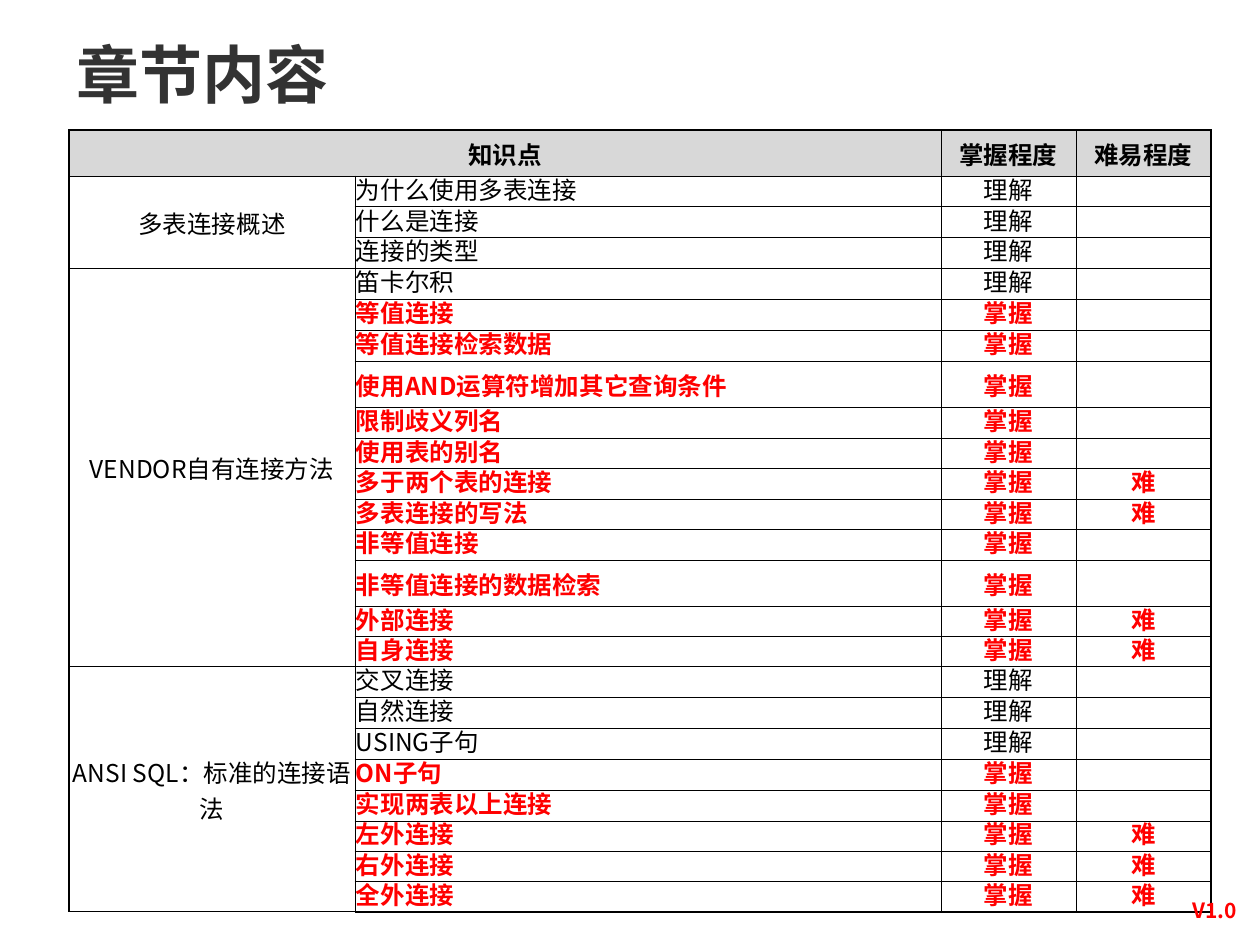
from typing import NamedTuple, Optional

from lxml.etree import SubElement
from pptx import Presentation
from pptx.dml.color import RGBColor
from pptx.enum.text import MSO_ANCHOR, PP_ALIGN
from pptx.oxml.ns import qn
from pptx.util import Pt

PX = 914400 // 126
FONT = "Noto Sans CJK SC"
BLACK = RGBColor(0, 0, 0)
DARK = RGBColor(0x33, 0x33, 0x33)
RED = RGBColor(0xFF, 0, 0)
GREY = RGBColor(0xD8, 0xD8, 0xD8)
WHITE = RGBColor(0xFF, 0xFF, 0xFF)

HIGH, TALL = 774, 46
WIDTHS = (286, 586, 135, 135)
HEADS = {0: "知识点", 2: "掌握程度", 3: "难易程度"}


class Point(NamedTuple):
    name: str
    key: bool = False
    hard: bool = False
    tall: bool = False


class Group(NamedTuple):
    name: str
    points: list[Point]
    fill: Optional[RGBColor] = WHITE


GROUPS = [
    Group("多表连接概述", [
        Point("为什么使用多表连接"),
        Point("什么是连接"),
        Point("连接的类型"),
    ], None),
    Group("VENDOR自有连接方法", [
        Point("笛卡尔积"),
        Point("等值连接", key=True),
        Point("等值连接检索数据", key=True),
        Point("使用AND运算符增加其它查询条件", key=True, tall=True),
        Point("限制歧义列名", key=True),
        Point("使用表的别名", key=True),
        Point("多于两个表的连接", key=True, hard=True),
        Point("多表连接的写法", key=True, hard=True),
        Point("非等值连接", key=True),
        Point("非等值连接的数据检索", key=True, tall=True),
        Point("外部连接", key=True, hard=True),
        Point("自身连接", key=True, hard=True),
    ]),
    Group("ANSI SQL：标准的连接语法", [
        Point("交叉连接"),
        Point("自然连接"),
        Point("USING子句"),
        Point("ON子句", key=True),
        Point("实现两表以上连接", key=True),
        Point("左外连接", key=True, hard=True),
        Point("右外连接", key=True, hard=True),
        Point("全外连接", key=True, hard=True),
    ]),
]


def write(frame, text: str, *, size: float = 14, color: RGBColor = BLACK,
          bold: bool = False, align=PP_ALIGN.CENTER, pitch: Optional[float] = None) -> None:
    para = frame.paragraphs[0]
    para.alignment = align
    if pitch:
        para.line_spacing = Pt(pitch)
    if not text:
        SubElement(para._p, qn("a:endParaRPr"), sz=str(int(size * 100)))
        return
    run = para.add_run()
    run.text = text
    font = run.font
    font.name, font.size, font.bold = FONT, Pt(size), bold
    font.color.rgb = color
    SubElement(run._r.get_or_add_rPr(), qn("a:ea"), typeface=FONT)


def place(shape, left: int, top: int, width: int, height: int) -> None:
    shape.left, shape.top = left * PX, top * PX
    shape.width, shape.height = width * PX, height * PX


def edge(cell, side: str, width: float) -> None:
    line = SubElement(cell._tc.get_or_add_tcPr(), qn("a:ln" + side),
                      w=str(Pt(width)), cmpd="sng")
    fill = SubElement(line, qn("a:solidFill"))
    SubElement(fill, qn("a:srgbClr"), val=str(BLACK))
    SubElement(line, qn("a:prstDash"), val="solid")


def dress(cell, row: int, col: int, last: int, fill: Optional[RGBColor]) -> None:
    cell.margin_left = cell.margin_right = cell.margin_top = PX
    cell.margin_bottom = 0
    cell.vertical_anchor = MSO_ANCHOR.MIDDLE
    outer = {"L": col == 0, "R": col == 3, "T": row == 0, "B": row == last}
    for side, out in outer.items():
        edge(cell, side, 1 if out else 0.5)
    if fill is None:
        cell.fill.background()
    else:
        cell.fill.solid()
        cell.fill.fore_color.rgb = fill


def draw_table(slide) -> None:
    points = [point for group in GROUPS for point in group.points]
    last = len(points)
    tall = [True] + [point.tall for point in points]
    thin = (HIGH - TALL * sum(tall)) * PX // tall.count(False)
    shape = slide.shapes.add_table(last + 1, 4, 69 * PX, 130 * PX,
                                   sum(WIDTHS) * PX, HIGH * PX)
    table = shape.table
    table.first_row = table.horz_banding = False
    for col, width in enumerate(WIDTHS):
        table.columns[col].width = width * PX
    for row, big in enumerate(tall):
        table.rows[row].height = TALL * PX if big else thin

    # Header
    for col in range(4):
        dress(table.cell(0, col), 0, col, last, GREY)
    for col, text in HEADS.items():
        write(table.cell(0, col).text_frame, text, bold=True)
    table.cell(0, 0).merge(table.cell(0, 1))

    # Groups and their points
    row = 1
    for group in GROUPS:
        first = row
        for point in group.points:
            texts = (point.name, "掌握" if point.key else "理解",
                     "难" if point.hard else "")
            for col, text in enumerate(texts, 1):
                cell = table.cell(row, col)
                dress(cell, row, col, last, None if col == 3 else WHITE)
                write(cell.text_frame, text, color=RED if point.key else BLACK,
                      bold=point.key, pitch=None if point.tall else 16.5,
                      align=PP_ALIGN.LEFT if col == 1 else PP_ALIGN.CENTER)
            dress(table.cell(row, 0), row, 0, last, group.fill)
            row += 1
        head = table.cell(first, 0)
        write(head.text_frame, group.name)
        head.merge(table.cell(row - 1, 0))


def main() -> None:
    deck = Presentation()
    deck.slide_width, deck.slide_height = 1260 * PX, 945 * PX
    slide = deck.slides.add_slide(deck.slide_layouts[5])

    # Title
    title = slide.shapes.title
    place(title, 64, 29, 1071, 158)
    title.text_frame.vertical_anchor = MSO_ANCHOR.TOP
    write(title.text_frame, "章节内容", size=36, color=DARK, bold=True,
          align=PP_ALIGN.LEFT)

    draw_table(slide)

    # Version mark
    mark = slide.shapes.add_textbox(0, 0, PX, PX)
    place(mark, 1165, 891, 100, 38)
    mark.text_frame.word_wrap = True
    write(mark.text_frame, "V1.0", size=12, color=RED, bold=True)

    deck.save("out.pptx")


main()
